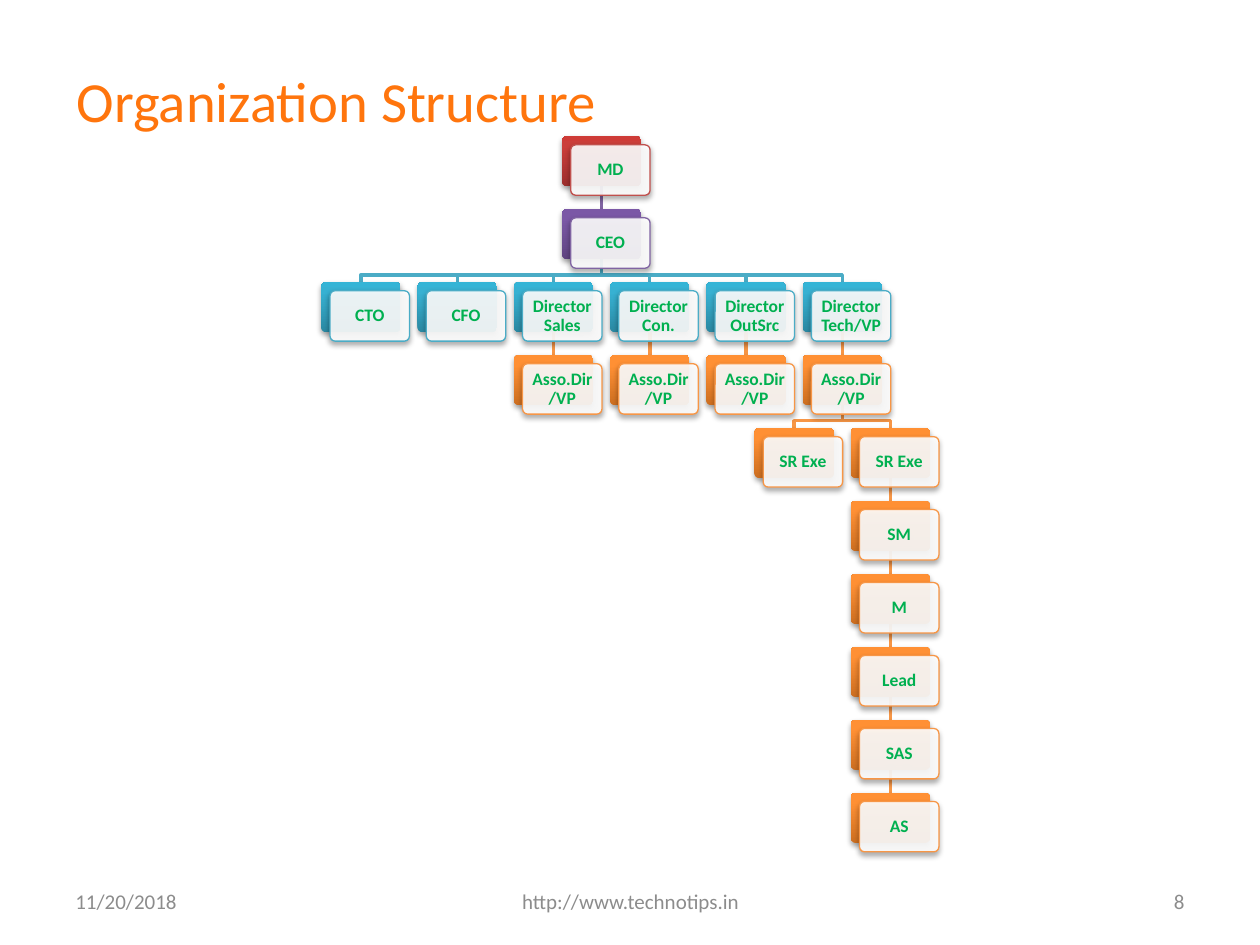
from copy import deepcopy

from pptx import Presentation
from pptx.dml.color import RGBColor
from pptx.enum.shapes import MSO_CONNECTOR, MSO_SHAPE
from pptx.enum.text import MSO_ANCHOR, PP_ALIGN
from pptx.oxml import parse_xml
from pptx.oxml.ns import nsdecls, qn
from pptx.util import Inches, Pt

ROUND = MSO_SHAPE.ROUNDED_RECTANGLE
STRAIGHT = MSO_CONNECTOR.STRAIGHT
MIDDLE = MSO_ANCHOR.MIDDLE
LEFT, CENTER, RIGHT = PP_ALIGN.LEFT, PP_ALIGN.CENTER, PP_ALIGN.RIGHT
TOP, BOTTOM = 0, 2

# Line colour and gradient stops (bottom to top) of each level
RED = ("C0504D", "9C2F2D", "CB3E3A", "CE3B37")
PURPLE = ("8064A2", "5F4480", "7B58A6", "7C57A8")
TEAL = ("4BACC6", "2A88A2", "37B1D2", "34B4D6")
ORANGE = ("F79646", "CC6E20", "FF9034", "FF9136")


def color(code):
    return RGBColor.from_string(code)


def write(frame, text, size=12, ink="8C8C8C", bold=False, align=LEFT,
          inset=None, spacing=None):
    frame.word_wrap = True
    frame.vertical_anchor = MIDDLE
    if inset is not None:
        frame.margin_left = frame.margin_right = Inches(inset)
        frame.margin_top = frame.margin_bottom = Inches(inset)
    para = frame.paragraphs[0]
    para.alignment = align
    para.line_spacing = spacing
    run = para.add_run()
    run.text = text
    run.font.name = "Calibri"
    run.font.size = Pt(size)
    run.font.bold = bold
    run.font.color.rgb = color(ink)


class Chart:
    left, top = 2.55, 1.08
    across, down = 0.764, 0.579
    wide, high = 0.63, 0.4
    shift = 0.07
    bend = 0.68

    def __init__(self, slide):
        self.slide = slide
        self.shapes = slide.shapes

    def title(self, text, x, y, w, h):
        box = self.shapes.title
        box.left, box.top = Inches(x), Inches(y)
        box.width, box.height = Inches(w), Inches(h)
        write(box.text_frame, text, size=32.4, ink="FF750D")

    def note(self, text, x, w, align):
        box = self.shapes.add_textbox(
            Inches(x), Inches(6.95), Inches(w), Inches(0.4))
        write(box.text_frame, text, align=align)

    def plate(self, x, y):
        """Add a rounded plate with a soft shadow below it."""
        shape = self.shapes.add_shape(
            ROUND, Inches(x), Inches(y), Inches(self.wide), Inches(self.high))
        shape.adjustments[0] = 0.1
        shape.shadow.inherit = False
        shape._element.spPr.find(qn("a:effectLst")).append(parse_xml(
            f'<a:outerShdw {nsdecls("a")} blurRad="{Pt(3.1)}" '
            f'dist="{Pt(1.8)}" dir="5400000" rotWithShape="0">'
            '<a:srgbClr val="000000"><a:alpha val="35000"/></a:srgbClr>'
            '</a:outerShdw>'))
        return shape

    def card(self, text, col, row, tones):
        """Add a coloured back plate and a clear front plate with the text."""
        x = self.left + col * self.across
        y = self.top + row * self.down
        edge, *stops = tones

        back = self.plate(x, y)
        back.line.fill.background()
        back.fill.gradient()
        back.fill.gradient_angle = 90
        ramp = back._element.spPr.find(".//" + qn("a:gsLst"))
        ramp.insert(1, deepcopy(ramp[0]))
        for stop, place, tone in zip(back.fill.gradient_stops, (0, 0.8, 1), stops):
            stop.position = place
            stop.color.rgb = color(tone)

        front = self.plate(x + self.shift, y + self.shift)
        front.fill.solid()
        front.fill.fore_color.rgb = color("FFFFFF")
        white = front._element.spPr.find(qn("a:solidFill"))[0]
        white.append(parse_xml(f'<a:alpha {nsdecls("a")} val="90000"/>'))
        front.line.color.rgb = color(edge)
        front.line.width = Pt(0.75)
        write(front.text_frame, text, size=10, ink="00B050", bold=True,
              align=CENTER, inset=0.04, spacing=0.9)
        return back

    def link(self, boss, staff, tone):
        """Join two cards, straight or bent, behind all cards."""
        x1, y1 = boss.left + boss.width // 2, boss.top + boss.height
        x2, y2 = staff.left + staff.width // 2, staff.top
        if x1 == x2:
            line = self.shapes.add_connector(STRAIGHT, x1, y1, x2, y2)
            line.begin_connect(boss, BOTTOM)
            line.end_connect(staff, TOP)
        else:
            turn = y1 + int((y2 - y1) * self.bend)
            path = self.shapes.build_freeform(x1, y1)
            path.add_line_segments([(x1, turn), (x2, turn), (x2, y2)], close=False)
            line = path.convert_to_shape()
            line.fill.background()
        line.line.color.rgb = color(tone)
        line.line.width = Pt(2)
        line._element.spPr.append(parse_xml(f'<a:effectLst {nsdecls("a")}/>'))
        line._element.getparent().insert(2, line._element)

    def staff(self, boss, text, col, row, tones):
        card = self.card(text, col, row, tones)
        self.link(boss, card, tones[0])
        return card


def main():
    deck = Presentation()
    deck.slide_width, deck.slide_height = Inches(10), Inches(7.5)
    chart = Chart(deck.slides.add_slide(deck.slide_layouts[5]))

    # Title and footer
    chart.title("Organization Structure", 0.51, 0.5, 9, 0.58)
    chart.note("http://www.technotips.in", 3.42, 3.17, CENTER)
    chart.note("11/20/2018", 0.5, 2.33, LEFT)
    chart.note("8", 7.17, 2.33, RIGHT)

    # Top of the tree
    head = chart.card("MD", 2.5, 0, RED)
    chief = chart.staff(head, "CEO", 2.5, 1, PURPLE)

    # Directors, each with an associate below
    for col, role in enumerate(("CTO", "CFO", "Director Sales", "Director Con.",
                                "Director OutSrc", "Director Tech/VP")):
        boss = chart.staff(chief, role, col, 2, TEAL)
        if role.startswith("Director"):
            boss = chart.staff(boss, "Asso.Dir/VP", col, 3, ORANGE)

    # Technical branch under the last associate
    chart.staff(boss, "SR Exe", 4.5, 4, ORANGE)
    for row, role in enumerate(("SR Exe", "SM", "M", "Lead", "SAS", "AS"), 4):
        boss = chart.staff(boss, role, 5.5, row, ORANGE)

    deck.save("out.pptx")


if __name__ == "__main__":
    main()
